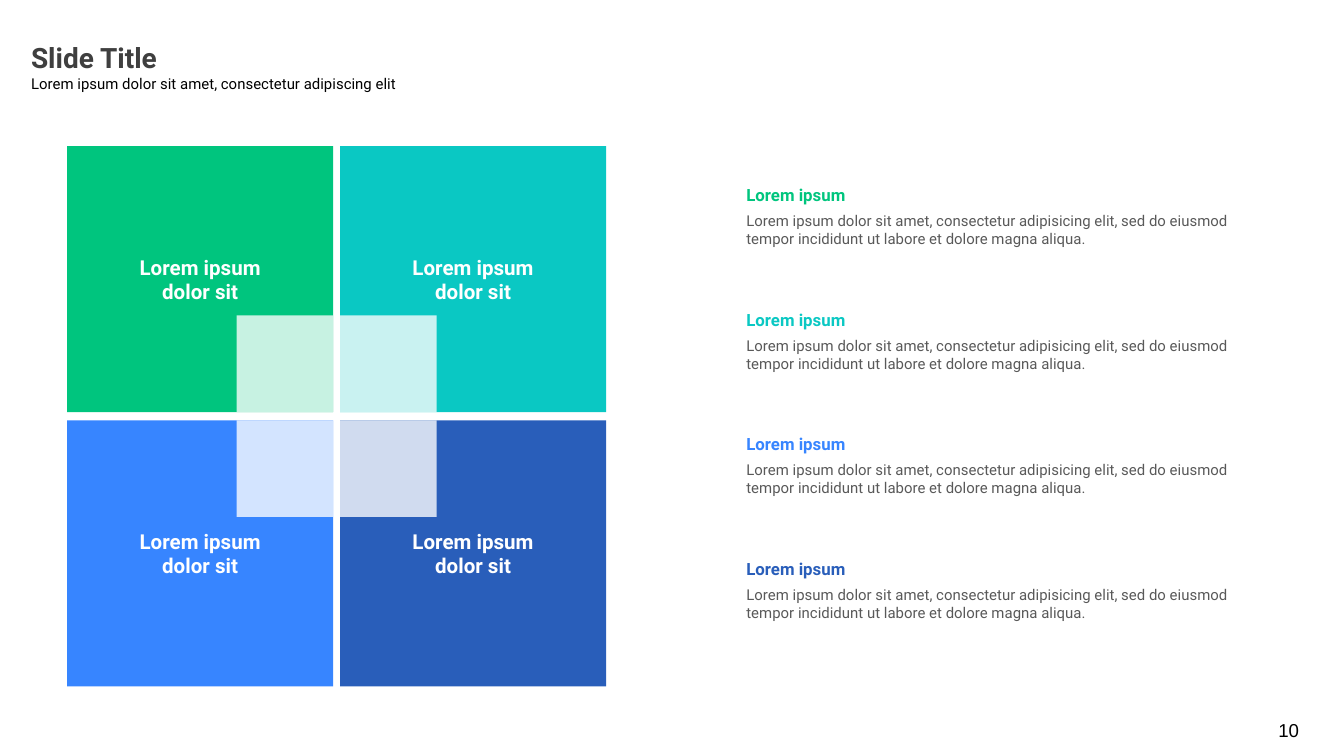
from lxml import etree
from pptx import Presentation
from pptx.dml.color import RGBColor
from pptx.enum import shapes, text
from pptx.oxml.ns import qn
from pptx.util import Pt

GREEN, TEAL, BLUE, NAVY = COLOURS = ["00C57E", "0AC8C3", "3785FF", "295EBA"]
WHITE = "FFFFFF"


def paint(colour_format, colour):
    """Give a fill or a font a solid colour from a hex string."""
    if hasattr(colour_format, "solid"):
        colour_format.solid()
        colour_format = colour_format.fore_color
    else:
        colour_format = colour_format.color
    colour_format.rgb = RGBColor.from_string(colour)


def write(shape, lines, size, colour, bold=False, align=text.PP_ALIGN.LEFT,
          anchor=text.MSO_ANCHOR.TOP, font="Roboto", insets=(5.14, 2.57)):
    """Fill a shape with one paragraph per line, all in one style."""
    frame = shape.text_frame
    frame.word_wrap = True
    frame.auto_size = text.MSO_AUTO_SIZE.NONE
    frame.vertical_anchor = anchor
    frame.margin_left = frame.margin_right = Pt(insets[0])
    frame.margin_top = frame.margin_bottom = Pt(insets[1])
    for index, line in enumerate(lines):
        paragraph = frame.add_paragraph() if index else frame.paragraphs[0]
        paragraph.alignment = align
        run = paragraph.add_run()
        run.text = line
        run.font.name = font
        run.font.size = Pt(size)
        run.font.bold = bold
        paint(run.font, colour)


presentation = Presentation()
presentation.slide_width = Pt(720)
presentation.slide_height = Pt(405)
slide = presentation.slides.add_slide(presentation.slide_layouts[5])

# Title and subtitle
title = slide.shapes.title
title.left, title.top, title.width, title.height = Pt(11.5), Pt(19.4), Pt(384), Pt(24)
write(title, ["Slide Title"], 15, "3F3F3F", bold=True)
subtitle = slide.shapes.add_textbox(Pt(11.5), Pt(37.4), Pt(384), Pt(15))
write(subtitle, ["Lorem ipsum dolor sit amet, consectetur adipiscing elit"], 8, "000000")

# Two-by-two matrix, each tile with a translucent square in its inner corner
TILE, CORNER = 142.5, 53.8 - 2
COLUMNS, ROWS = [36, 182.2], [78.3, 225.2]
for index, colour in enumerate(COLOURS):
    row, column = divmod(index, 2)
    left, top = COLUMNS[column], ROWS[row]
    corner_left = left if column else left + TILE - CORNER
    corner_top = top if row else top + TILE - CORNER

    tile = slide.shapes.add_shape(
        shapes.MSO_SHAPE.RECTANGLE, Pt(left), Pt(top), Pt(TILE), Pt(TILE))
    paint(tile.fill, colour)
    write(tile, ["Lorem ipsum", "dolor sit"], 11, WHITE, bold=True,
          align=text.PP_ALIGN.CENTER, anchor=text.MSO_ANCHOR.MIDDLE)

    corner = slide.shapes.add_shape(
        shapes.MSO_SHAPE.RECTANGLE, Pt(corner_left), Pt(corner_top), Pt(CORNER), Pt(CORNER))
    paint(corner.fill, WHITE)
    white = corner.fill._xPr.find(qn("a:solidFill"))[0]
    etree.SubElement(white, qn("a:alpha"), val="78000")

    for square in (tile, corner):
        square.line.fill.background()
        square.shadow.inherit = False

# Legend
for index, colour in enumerate(COLOURS):
    top = 96.5 + index * 66.7
    body = slide.shapes.add_textbox(Pt(394.7), Pt(top + 14.4), Pt(279), Pt(25))
    write(body, ["Lorem ipsum dolor sit amet, consectetur adipisicing elit, sed do eiusmod "
                 "tempor incididunt ut labore et dolore magna aliqua."], 8, "595959")
    heading = slide.shapes.add_textbox(Pt(394.7), Pt(top), Pt(279), Pt(16.5))
    write(heading, ["Lorem ipsum"], 9, colour, bold=True)

# Page number
page_number = slide.shapes.add_textbox(Pt(674), Pt(378), Pt(29), Pt(27))
write(page_number, ["10"], 10, "000000", align=text.PP_ALIGN.RIGHT,
      font="Arial", insets=(7.2, 7.2))

presentation.save("out.pptx")
